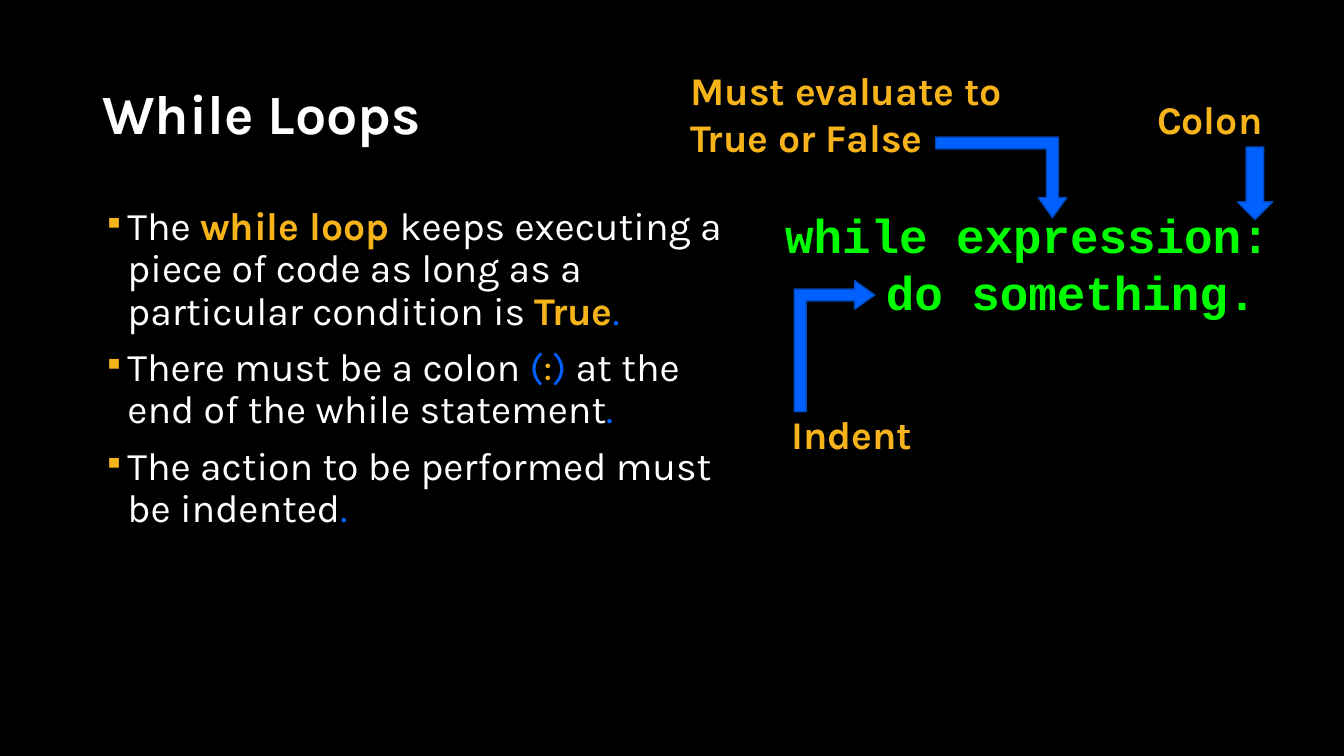
"""Build the slide that explains while loops."""
from dataclasses import dataclass, field

from lxml.etree import SubElement
from pptx import Presentation
from pptx.dml.color import RGBColor
from pptx.enum.shapes import MSO_SHAPE as SHAPE
from pptx.enum.text import MSO_ANCHOR as ANCHOR, MSO_AUTO_SIZE as AUTO
from pptx.oxml.ns import qn
from pptx.util import Pt

WHITE, GOLD, BLUE, DARK_BLUE = "FFFFFF", "F7B41A", "0061FF", "0048BD"
GREEN, BLACK = "00FF00", "000000"
TEXT_FONT, CODE_FONT = "Karla", "Courier New"

Box = tuple[float, float, float, float]
Run = tuple[str, str, bool]


@dataclass
class Block:
    box: Box
    paras: list[list[Run]]
    size: float = 28
    font: str = TEXT_FONT
    frame: dict = field(default_factory=lambda: {
        "word_wrap": False, "auto_size": AUTO.SHAPE_TO_FIT_TEXT})
    para: dict = field(default_factory=dict)
    bullet: str = ""
    tab: float = 0


@dataclass
class Arrow:
    kind: SHAPE
    box: Box
    rotation: float
    adjustments: tuple[float, ...]


def white(text: str) -> Run:
    return text, WHITE, False


def blue(text: str) -> Run:
    return text, BLUE, False


def bold(text: str, color: str = GOLD) -> Run:
    return text, color, True


WRAPPED = {"word_wrap": True, "auto_size": AUTO.NONE}
BENT = (0.147, 0.177, 0.25)

BLOCKS = [
    Block((66, 57.6, 828, 51.84), [[bold("While Loops", WHITE)]], size=39.6,
          frame=WRAPPED | {"vertical_anchor": ANCHOR.MIDDLE},
          para={"line_spacing": 0.9}),
    Block((66, 144, 476, 381), [
        [white("The "), bold("while loop "),
         white("keeps executing a piece of code as long as a particular condition is "),
         bold("True"), blue(".")],
        [white("There must be a colon "), blue("("), (":", GOLD, False), blue(")"),
         white(" at the end of the while statement"), blue(".")],
        [white("The action to be performed must be indented"), blue(".")],
    ], frame=WRAPPED, para={"line_spacing": 0.9, "space_before": Pt(10)}, bullet="▪"),
    Block((553.68, 143.5, 364.32, 90),
          [[bold("while expression:", GREEN)], [bold("\tdo something.", GREEN)]],
          size=34, font=CODE_FONT, tab=72),
    Block((558, 289.44, 101.52, 41.04), [[bold("Indent")]]),
    Block((486, 43.92, 246.24, 74.88),
          [[bold("Must evaluate to")], [bold("True or False")]]),
    Block((819.36, 64.4, 92.16, 41.04), [[bold("Colon")]]),
]

ARROWS = [
    Arrow(SHAPE.BENT_UP_ARROW, (549.36, 218.5, 93.6, 57.6), 90, BENT),
    Arrow(SHAPE.BENT_UP_ARROW, (668.4, 97.92, 93.6, 57.6), 180, BENT),
    Arrow(SHAPE.RIGHT_ARROW, (870.48, 118.3, 51.84, 25.2), 270, (0.5, 0.5)),
]


def rgb(color: str) -> RGBColor:
    return RGBColor.from_string(color)


def apply(target, formats: dict) -> None:
    for name, value in formats.items():
        setattr(target, name, value)


def add_bullet(p, char: str) -> None:
    pPr = p._p.get_or_add_pPr()
    pPr.set("marL", str(Pt(18)))
    pPr.set("indent", str(-Pt(18)))
    SubElement(SubElement(pPr, qn("a:buClr")), qn("a:srgbClr"), val=GOLD)
    SubElement(pPr, qn("a:buFont"), typeface=CODE_FONT)
    SubElement(pPr, qn("a:buChar"), char=char)


def add_tab_stop(p, position: float) -> None:
    tabs = SubElement(p._p.get_or_add_pPr(), qn("a:tabLst"))
    SubElement(tabs, qn("a:tab"), pos=str(Pt(position)), algn="l")


def add_block(s, block: Block) -> None:
    tf = s.shapes.add_textbox(*map(Pt, block.box)).text_frame
    apply(tf, block.frame)
    for i, runs in enumerate(block.paras):
        p = tf.add_paragraph() if i else tf.paragraphs[0]
        apply(p, block.para)
        if block.bullet:
            add_bullet(p, block.bullet)
        if block.tab:
            add_tab_stop(p, block.tab)
        for text, color, is_bold in runs:
            r = p.add_run()
            r.text = text
            apply(r.font, {"name": block.font, "size": Pt(block.size), "bold": is_bold})
            r.font.color.rgb = rgb(color)


def add_arrow(s, arrow: Arrow) -> None:
    sp = s.shapes.add_shape(arrow.kind, *map(Pt, arrow.box))
    sp.rotation = arrow.rotation
    sp._element.spPr.xfrm.set("flipH", "1")
    for i, value in enumerate(arrow.adjustments):
        sp.adjustments[i] = value
    sp.shadow.inherit = False
    sp.fill.solid()
    sp.fill.fore_color.rgb = rgb(BLUE)
    sp.line.color.rgb = rgb(DARK_BLUE)
    sp.line.width = Pt(1)


def main() -> None:
    prs = Presentation()
    apply(prs, {"slide_width": Pt(960), "slide_height": Pt(540)})
    s = prs.slides.add_slide(prs.slide_layouts[6])
    s.background.fill.solid()
    s.background.fill.fore_color.rgb = rgb(BLACK)
    for block in BLOCKS:
        add_block(s, block)
    for arrow in ARROWS:
        add_arrow(s, arrow)
    prs.save("out.pptx")


if __name__ == "__main__":
    main()
